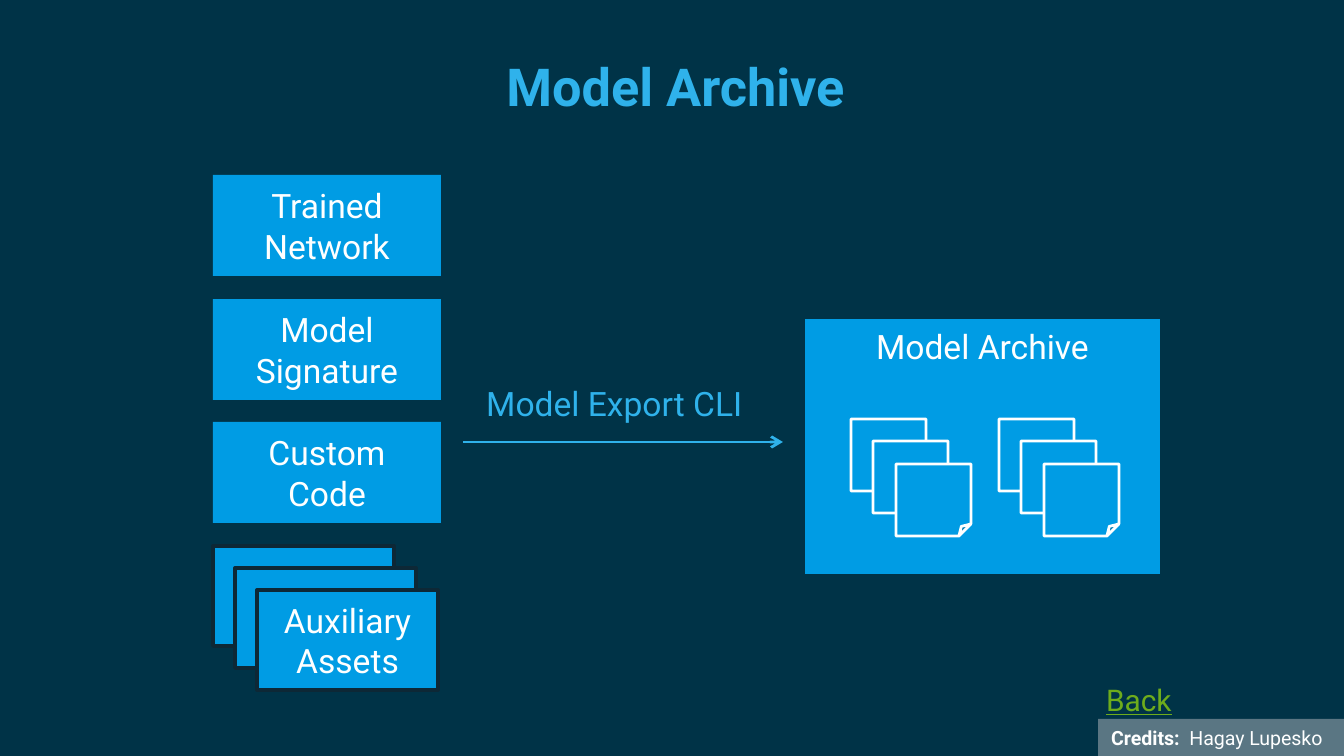
from lxml import etree
from pptx import Presentation
from pptx import util as u
from pptx.dml.color import RGBColor
from pptx.enum import shapes, text
from pptx.oxml.ns import qn

PX = 914400 / 134.4
BLUE, SKY, WHITE, NAVY = "009CE4", "2FB2EB", "FEFFFF", "0D2836"
RECT = shapes.MSO_SHAPE.RECTANGLE
FOLD = shapes.MSO_SHAPE.FOLDED_CORNER
CENTER, LEFT = text.PP_ALIGN.CENTER, text.PP_ALIGN.LEFT
MIDDLE, TOP = text.MSO_ANCHOR.MIDDLE, text.MSO_ANCHOR.TOP


def color(fmt, value):
    if hasattr(fmt, "solid"):
        fmt.solid()
        fmt = fmt.fore_color
    fmt.rgb = RGBColor.from_string(value)


def box(parent, kind, at, fill=None, line=None, runs=(), align=CENTER, anchor=MIDDLE):
    at = [round(v * PX) for v in at]
    if kind is None:
        sp = parent.add_textbox(*at)
    else:
        sp = parent.add_shape(kind, *at)
        sp.shadow.inherit = False
        color(sp.fill, fill)
        if line:
            color(sp.line.fill, line[0])
            sp.line.width = u.Pt(line[1])
        else:
            sp.line.fill.background()
    tf = sp.text_frame
    for key, value in {"word_wrap": True, "vertical_anchor": anchor}.items():
        setattr(tf, key, value)
    p = tf.paragraphs[0]
    p.alignment = align
    for words, size, hue, style in runs:
        for i, part in enumerate(words.split("\n")):
            if i:
                p.add_line_break()
            r = p.add_run()
            r.text = part
            color(r.font.color, hue)
            for key, value in {"name": "Roboto", "size": u.Pt(size), **style}.items():
                setattr(r.font, key, value)
    return sp


prs = Presentation()
prs.slide_width, prs.slide_height = round(1344 * PX), round(756 * PX)
s = prs.slides.add_slide(prs.slide_layouts[6])
color(s.background.fill, "003347")

for i, label in enumerate(["Trained Network", "Model\nSignature", "Custom\nCode"]):
    box(s.shapes, RECT, (213, 175 + round(123.5 * i), 228, 101), BLUE,
        runs=[(label, 18, WHITE, {})])

assets = s.shapes.add_group_shape().shapes
for i, label in enumerate(["", "", "Auxiliary Assets"]):
    runs = [(label, 18, WHITE, {})] if label else []
    box(assets, RECT, (213 + 22 * i, 546 + 22 * i, 181, 100), BLUE, (NAVY, 2), runs)

archive = s.shapes.add_group_shape().shapes
box(archive, RECT, (805, 319, 355, 255), BLUE,
    runs=[("Model Archive", 18, WHITE, {})], anchor=TOP)
for left in (851, 999):
    for i in range(3):
        step = round(22.5 * i)
        box(archive, FOLD, (left + step, 419 + step, 75, 72), BLUE, (WHITE, 1.5))

arrow = s.shapes.add_connector(
    shapes.MSO_CONNECTOR.STRAIGHT, *[round(v * PX) for v in (463, 442, 783, 442)])
color(arrow.line.fill, SKY)
arrow.line.width = u.Pt(1.5)
etree.SubElement(arrow.line._get_or_add_ln(), qn("a:tailEnd"), type="arrow")
etree.SubElement(arrow._element.spPr, qn("a:effectLst"))

box(s.shapes, None, (473, 376, 313, 54), runs=[("Model Export CLI", 18, SKY, {})],
    align=LEFT, anchor=TOP)
box(s.shapes, None, (50, 18, 1251, 136), runs=[("Model Archive", 28, SKY, {"bold": True})])
box(s.shapes, None, (1093, 675, 113, 50),
    runs=[("Back", 16, "6EAC1C", {"underline": True})], align=LEFT, anchor=TOP)
credit = box(s.shapes, RECT, (1098, 719, 246, 37), "A1ACB2",
             runs=[("Credits:  ", 10.5, WHITE, {"bold": True}),
                   ("Hagay Lupesko", 10.5, WHITE, {"bold": False})],
             align=LEFT, anchor=TOP)
tint = credit._element.spPr.find(qn("a:solidFill"))[0]
etree.SubElement(tint, qn("a:alpha"), val="56000")

prs.save("out.pptx")
